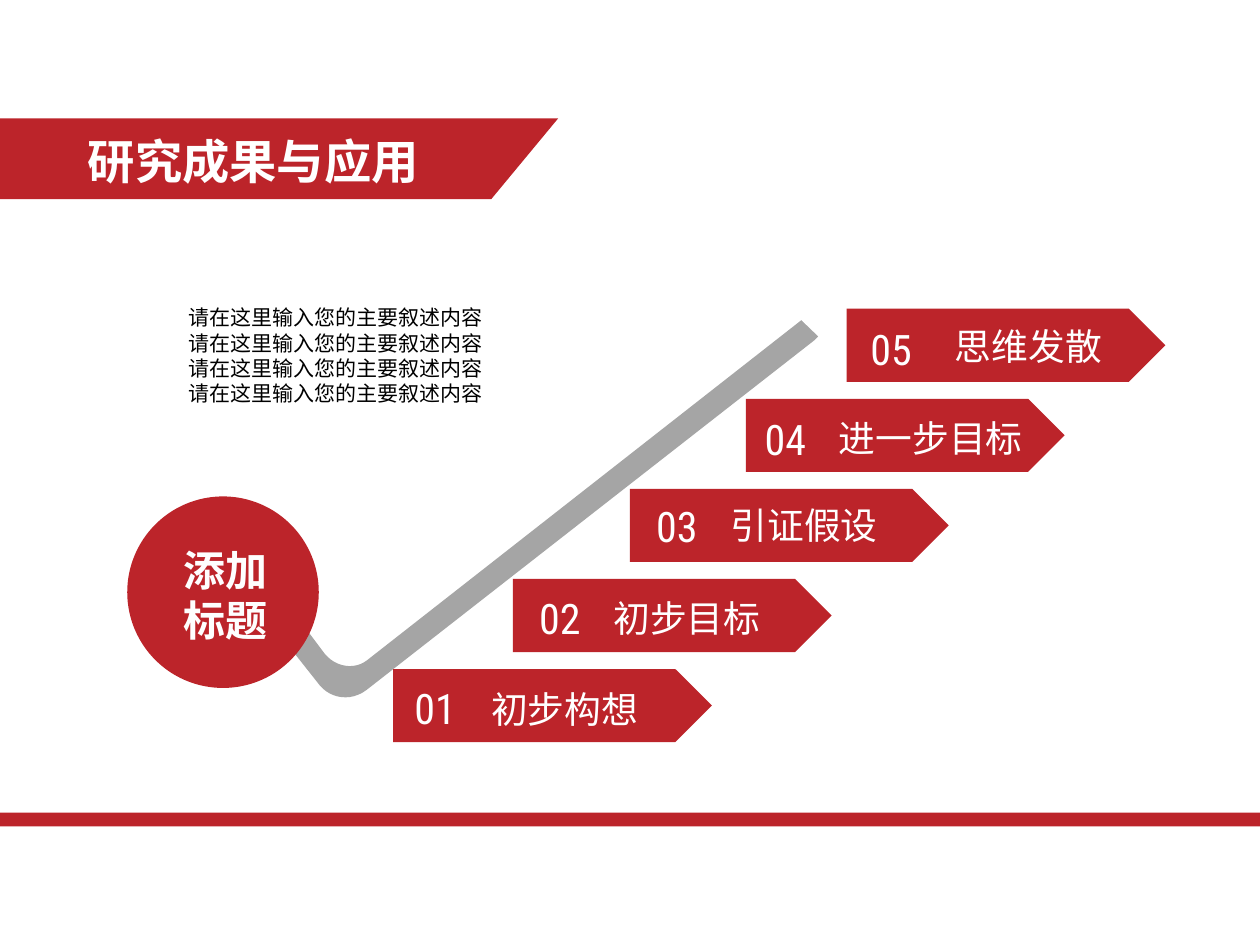
from math import cos, radians, sin

from lxml import etree
from pptx import Presentation
from pptx.dml.color import RGBColor
from pptx.enum.shapes import MSO_SHAPE
from pptx.enum.text import MSO_AUTO_SIZE
from pptx.oxml.ns import qn
from pptx.util import Inches, Pt

RECT = MSO_SHAPE.RECTANGLE
PENTAGON = MSO_SHAPE.PENTAGON
OVAL = MSO_SHAPE.OVAL
TRIANGLE = MSO_SHAPE.ISOSCELES_TRIANGLE
NO_FIT = MSO_AUTO_SIZE.NONE

RED = RGBColor(0xBC, 0x24, 0x2A)
GRAY = RGBColor(0xA5, 0xA5, 0xA5)
WHITE = RGBColor(0xFF, 0xFF, 0xFF)
NEAR_WHITE = RGBColor(0xFE, 0xFE, 0xFE)
BLACK = RGBColor(0, 0, 0)
CJK = "Noto Sans CJK SC"
LATIN = "Roboto Condensed"

prs = Presentation()
prs.slide_width, prs.slide_height = Inches(10), Inches(7.5)
s = prs.slides.add_slide(prs.slide_layouts[6])


def paint(sp, color):
    sp.shadow.inherit = False
    sp.fill.solid()
    sp.fill.fore_color.rgb = color
    sp.line.fill.background()


def add_text(text, *, box, size, font=CJK, color=WHITE, bold=False):
    tf = s.shapes.add_textbox(*map(Inches, box)).text_frame
    tf.word_wrap = False
    tf.auto_size = NO_FIT
    for i, line in enumerate(text.split("\n")):
        p = tf.add_paragraph() if i else tf.paragraphs[0]
        p.line_spacing = Pt(size * 1.2)
        r = p.add_run()
        r.text = line
        r.font.size, r.font.name, r.font.bold = Pt(size), font, bold
        r.font.color.rgb = color
        ea = etree.SubElement(r.font._element, qn("a:ea"))
        ea.set("typeface", font)


banner = s.shapes.build_freeform(0, Inches(0.94))
banner.add_line_segments(
    [(Inches(x), Inches(y)) for x, y in [(4.43, 0.94), (3.9, 1.58), (0, 1.58)]]
)
paint(banner.convert_to_shape(), RED)

sp = s.shapes.add_shape(RECT, 0, Inches(6.45), Inches(10), Inches(0.11))
paint(sp, RED)
add_text("研究成果与应用", box=(0.6, 1, 2.83, 0.55), size=27, bold=True)

check_path = [
    [(6.38, 2.53)], [(6.56, 2.53)], [(6.56, 2.57)],
    [(6.54, 2.62), (6.51, 2.66), (6.47, 2.7)],
    [(2.91, 5.48)],
    [(2.79, 5.57), (2.63, 5.55), (2.54, 5.44)],
    [(2.35, 5.2)], [(2.38, 5.09)], [(2.4, 4.95)], [(2.58, 5.19)],
    [(2.67, 5.3), (2.82, 5.32), (2.92, 5.24)],
]
points = []
for segment in check_path:
    if len(segment) == 1:
        points += segment
        continue
    curve = [points[-1]] + segment
    for step in range(1, 13):
        t = step / 12
        weights = ((1 - t) ** 3, 3 * t * (1 - t) ** 2, 3 * t**2 * (1 - t), t**3)
        points.append(tuple(
            sum(w * pt[axis] for w, pt in zip(weights, curve)) for axis in (0, 1)
        ))

CENTER_X, CENTER_Y, TILT = 4.43, 3.825, radians(38)
level = []
for x, y in points:
    dx, dy = x - CENTER_X, y - CENTER_Y
    level.append((
        Inches(CENTER_X + dx * cos(TILT) - dy * sin(TILT)),
        Inches(CENTER_Y + dx * sin(TILT) + dy * cos(TILT)),
    ))
check = s.shapes.build_freeform(*level[0])
check.add_line_segments(level[1:])
sp = check.convert_to_shape()
sp.rotation = 322
paint(sp, GRAY)

sp = s.shapes.add_shape(TRIANGLE, Inches(6.3), Inches(2.42), Inches(0.44), Inches(0.23))
sp.rotation = 43.9
paint(sp, WHITE)

steps = [
    ("初步构想", 3.12, (3.8, 5.4, 1.37), (3.19, 5.37, 0.51)),
    ("初步目标", 4.07, (4.77, 4.68, 1.37), (4.18, 4.65, 0.55)),
    ("引证假设", 5, (5.7, 3.94, 1.37), (5.11, 3.92, 0.56)),
    ("进一步目标", 5.92, (6.56, 3.25, 1.66), (5.97, 3.23, 0.55)),
    ("思维发散", 6.72, (7.48, 2.52, 1.37), (6.81, 2.52, 0.56)),
]
for i, (label, left, label_box, number_box) in enumerate(steps):
    top = 5.31 - 0.715 * i
    sp = s.shapes.add_shape(PENTAGON, Inches(left), Inches(top), Inches(2.53), Inches(0.58))
    paint(sp, RED)
    add_text(label, box=(*label_box, 0.45), size=21)
    add_text(f"{i + 1:02}", box=(*number_box, 0.5), size=24, font=LATIN)

sp = s.shapes.add_shape(OVAL, Inches(1.01), Inches(3.94), Inches(1.52), Inches(1.52))
paint(sp, RED)
add_text("添加\n标题", box=(1.36, 4.27, 0.87, 0.91), size=24, color=NEAR_WHITE, bold=True)
add_text("\n".join(["请在这里输入您的主要叙述内容"] * 4),
         box=(1.4, 2.37, 2.53, 1.31), size=12, color=BLACK)

prs.save("out.pptx")
